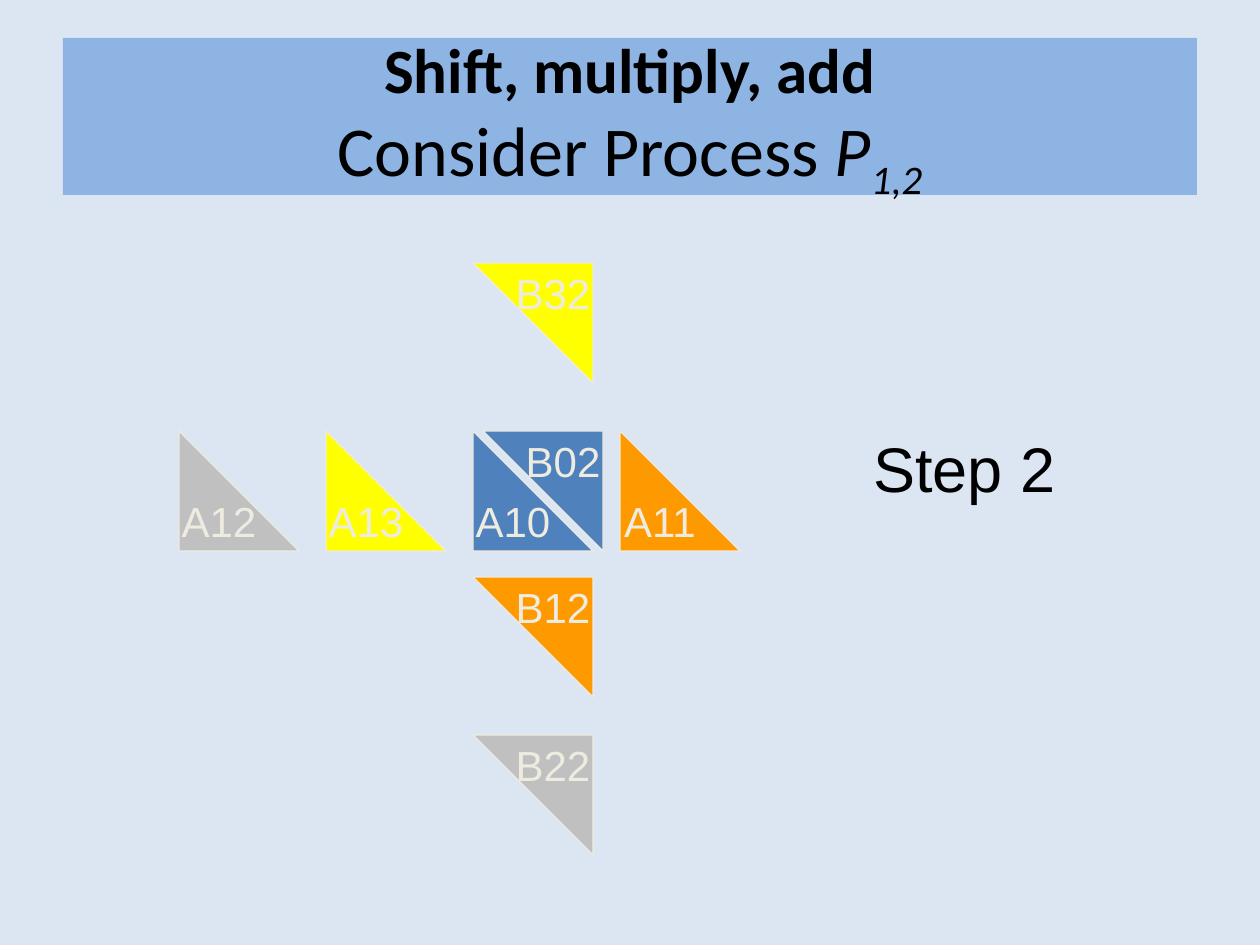
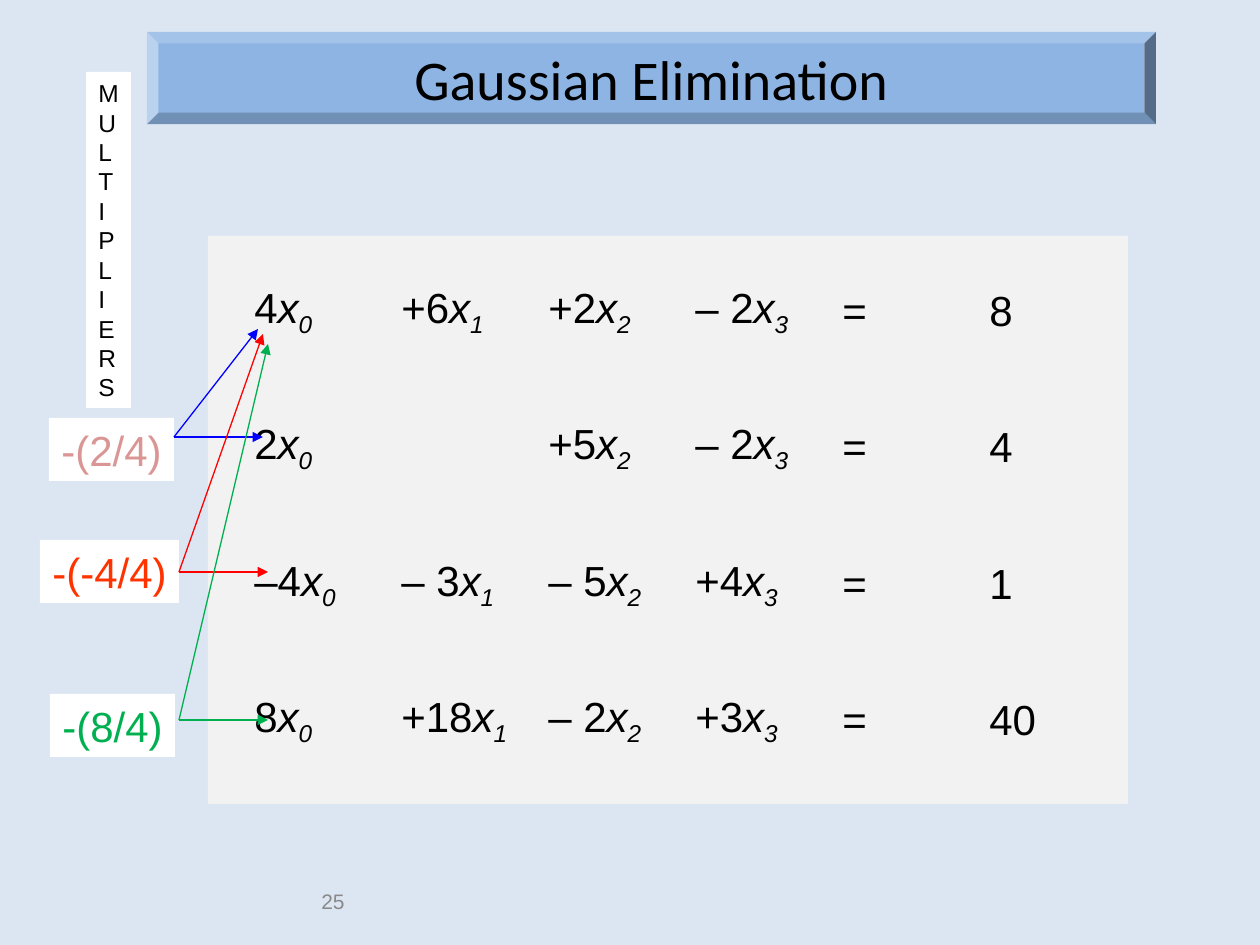
from lxml import etree
from pptx import Presentation
from pptx.dml.color import RGBColor
from pptx.enum import shapes, text
from pptx.oxml import ns
from pptx.util import Pt

SCALE = 914400 / 126
BACK, BAND, CREAM = "DCE6F2", "8EB4E3", "EEECE1"
WHITE, BLACK, GREEN = "FFFFFF", "000000", "00B050"
KIND = shapes.MSO_SHAPE
LEFT, MID, RIGHT = text.PP_ALIGN.LEFT, text.PP_ALIGN.CENTER, text.PP_ALIGN.RIGHT
tint = RGBColor.from_string


def put(page, kind, spot, fill=None, edge=None):
    spot = [round(n * SCALE) for n in spot]
    if kind is None:
        return page.shapes.add_textbox(*spot)
    item = page.shapes.add_shape(kind, *spot)
    item.shadow.inherit = False
    item.fill.solid()
    item.fill.fore_color.rgb = tint(fill)
    if edge:
        item.line.color.rgb = tint(edge)
        item.line.width = Pt(0.75)
    else:
        item.line.fill.background()
    return item


def write(item, rows, size, hue=BLACK, face="Arial", align=LEFT, mid=True, wrap=False):
    frame = item.text_frame
    frame.word_wrap = wrap
    frame.vertical_anchor = text.MSO_ANCHOR.MIDDLE if mid else text.MSO_ANCHOR.TOP
    for i, row in enumerate(rows):
        para = frame.add_paragraph() if i else frame.paragraphs[0]
        para.alignment = align
        for words, mark in row:
            if words == "\n":
                para.add_line_break()
                continue
            run = para.add_run()
            run.text = words
            font = run.font
            font.name, font.color.rgb = face, tint(hue)
            font.size = Pt(36 if "b" in mark else size)
            font.bold, font.italic = "b" in mark, "i" in mark
            if "s" in mark:
                run._r.get_or_add_rPr().set("baseline", "-25000")


deck = Presentation()
deck.slide_width, deck.slide_height = round(1260 * SCALE), round(945 * SCALE)
pages = []
for _ in range(2):
    page = deck.slides.add_slide(deck.slide_layouts[6])
    page.background.fill.solid()
    page.background.fill.fore_color.rgb = tint(BACK)
    pages.append(page)
shift, gauss = pages

ORANGE, GRAY, YELLOW, BLUE = "FF9900", "C0C0C0", "FFFF00", "4F81BD"
blocks = [
    ("B12", 473, 577, ORANGE), ("A11", 620, 431, ORANGE),
    ("A12", 179, 431, GRAY), ("A13", 326, 431, YELLOW),
    ("B22", 473, 735, GRAY), ("A10", 473, 431, BLUE),
    ("B32", 473, 263, YELLOW), ("B02", 483, 431, BLUE),
]
for name, x, y, fill in blocks:
    block = put(shift, KIND.RIGHT_TRIANGLE, (x, y, 120, 120), fill, CREAM)
    write(block, [[(name, "")]], 24, CREAM, align=MID)
    if name[0] == "B":
        block.rotation = 180
        block.text_frame._txBody.bodyPr.set("rot", "10800000")

step = put(shift, None, (861, 423, 207, 88))
write(step, [[("Step 2", "")]], 36, mid=False)
title = put(shift, KIND.RECTANGLE, (63, 38, 1134, 157), BAND)
heading = [("Shift, multiply, add", "b"), ("\n", ""), ("Consider Process ", ""), ("P", "i"), ("1,2", "is")]
write(title, [heading], 40, face="Calibri", align=MID, wrap=True)

put(gauss, KIND.RECTANGLE, (208, 236, 920, 568), "F2F2F2")
number = put(gauss, None, (84, 876, 273, 50))
write(number, [[("25", "")]], 12, "898989", align=RIGHT, wrap=True)

system = [
    ("4", "+6", "+2", "– 2", "8"),
    ("2", "", "+5", "– 2", "4"),
    ("–4", "– 3", "– 5", "+4", "1"),
    ("8", "+18", "– 2", "+3", "40"),
]
for r, (*terms, total) in enumerate(system):
    cells = [[(n, ""), ("x", "i"), (str(c), "is")] if n else [] for c, n in enumerate(terms)]
    cells += [[("=", "")], [(total, "")]]
    for c, runs in enumerate(cells):
        if runs:
            cell = put(gauss, None, (242 + 147 * c, 252 + 273 * r // 2, 140, 116))
            write(cell, [runs], 24, wrap=True)

factors = [
    ("-(2/4)", (49, 418, 125, 63), "D99694", "0000FF", (174, 437), (258, 329), 263),
    ("-(-4/4)", (40, 540, 139, 63), "FF3300", "FF0000", (179, 572), (263, 334), 268),
    ("-(8/4)", (50, 694, 125, 63), GREEN, GREEN, (179, 720), (268, 344), 268),
]
for words, spot, hue, ink, start, top, end in factors:
    label = put(gauss, KIND.RECTANGLE, spot, WHITE)
    write(label, [[(words, "")]], 24, hue, mid=False)
    for goal in (top, (end, start[1])):
        ends = [round(n * SCALE) for n in start + goal]
        arrow = gauss.shapes.add_connector(shapes.MSO_CONNECTOR.STRAIGHT, *ends)
        arrow.line.color.rgb = tint(ink)
        arrow.line.width = Pt(0.75)
        etree.SubElement(arrow.line._get_or_add_ln(), ns.qn("a:tailEnd"), type="triangle")
        etree.SubElement(arrow._element.spPr, ns.qn("a:effectLst"))

side = put(gauss, KIND.RECTANGLE, (86, 72, 45, 336), WHITE)
write(side, [[(letter, "")] for letter in "MULTIPLIERS"], 14, mid=False)
banner = put(gauss, KIND.BEVEL, (147, 32, 1009, 92), BAND)
write(banner, [[("Gaussian Elimination", "")]], 32, face="Calibri", align=MID, wrap=True)

deck.save("out.pptx")
